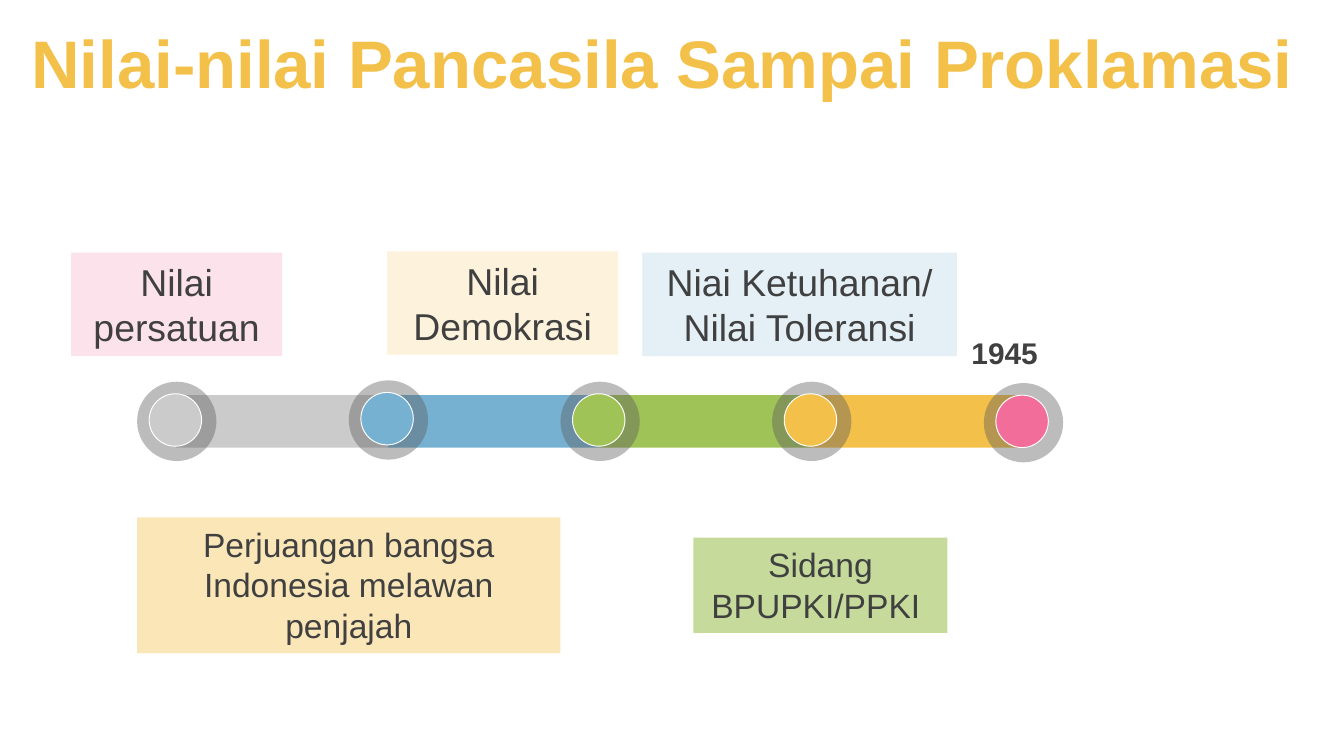
from dataclasses import dataclass

from lxml import etree
from pptx import Presentation
from pptx import util as u
from pptx.dml.color import RGBColor
from pptx.enum import shapes, text
from pptx.oxml.ns import qn

FONT = "Arial"
GOLD = "F3C04A"
DARK = "404040"
WHITE = "FFFFFF"
RING_GRAY = "595959"
RING_SIZE = 0.59
DOT_SIZE = 0.39
DOT_INSET = 0.09
STEP = 6.3 / 4
FIRST_CENTER = 1.31
FIRST_RING = 1.02
BAR_TOP = 2.94


@dataclass
class Milestone:
    color: str
    top: float


@dataclass
class Label:
    wording: str
    left: float
    top: float
    width: float
    height: float
    fill: str
    size: int


MILESTONES = [
    Milestone("CBCBCB", 2.84),
    Milestone("76B1D1", 2.83),
    Milestone("A0C358", 2.84),
    Milestone(GOLD, 2.84),
    Milestone("F26D9A", 2.85),
]

LABELS = [
    Label("Nilai persatuan", 0.53, 1.88, 1.57, 0.77, "FCE2EB", 20),
    Label("Nilai Demokrasi", 2.88, 1.87, 1.72, 0.77, "FDF2DB", 20),
    Label("Niai Ketuhanan/ Nilai Toleransi", 4.78, 1.88, 2.34, 0.77, "E4EFF6", 20),
    Label("Sidang BPUPKI/PPKI ", 5.16, 4, 1.89, 0.71, "C6DB9B", 18),
    Label("Perjuangan bangsa Indonesia melawan penjajah",
          1.02, 3.85, 3.15, 1.01, "FAE6B7", 18),
]


def paint(color_format, color: str) -> None:
    color_format.rgb = RGBColor.from_string(color)


def add_block(page, kind, left: float, top: float, width: float, height: float,
              fill: str, line: str | None = None, opacity: int = 100):
    block = page.shapes.add_shape(
        kind, u.Inches(left), u.Inches(top), u.Inches(width), u.Inches(height))
    block.shadow.inherit = False
    block.fill.solid()
    paint(block.fill.fore_color, fill)
    if line:
        block.line.fill.solid()
        paint(block.line.color, line)
        block.line.width = u.Pt(0.5)
    else:
        block.line.fill.background()
    if opacity < 100:
        color = block._element.spPr.find(qn("a:solidFill"))[0]
        etree.SubElement(color, qn("a:alpha"), val=str(opacity * 1000))
    return block


def write(box, wording: str, *, size: int, color: str = DARK, bold: bool = False,
          anchor=text.MSO_ANCHOR.TOP) -> None:
    frame = box.text_frame
    frame.word_wrap = True
    frame.vertical_anchor = anchor
    para = frame.paragraphs[0]
    para.alignment = text.PP_ALIGN.CENTER
    span = para.add_run()
    span.text = wording
    span.font.name = FONT
    span.font.size = u.Pt(size)
    span.font.bold = bold
    paint(span.font.color, color)


def add_text(page, wording: str, left: float, top: float, width: float,
             height: float, **style) -> None:
    box = page.shapes.add_textbox(
        u.Inches(left), u.Inches(top), u.Inches(width), u.Inches(height))
    write(box, wording, **style)


def add_bar(page, index: int, color: str) -> None:
    add_block(page, shapes.MSO_SHAPE.RECTANGLE, FIRST_CENTER + index * STEP,
              BAR_TOP, STEP, DOT_SIZE, color)


def add_milestone(page, index: int, milestone: Milestone) -> None:
    left = FIRST_RING + index * STEP
    oval = shapes.MSO_SHAPE.OVAL
    add_block(page, oval, left, milestone.top, RING_SIZE, RING_SIZE,
              RING_GRAY, opacity=40)
    add_block(page, oval, left + DOT_INSET, milestone.top + DOT_INSET,
              DOT_SIZE, DOT_SIZE, milestone.color, line=WHITE)


def add_label(page, label: Label) -> None:
    box = add_block(page, shapes.MSO_SHAPE.RECTANGLE, label.left, label.top,
                    label.width, label.height, label.fill)
    write(box, label.wording, size=label.size)


def main() -> None:
    deck = Presentation()
    deck.slide_width = u.Inches(10)
    deck.slide_height = u.Inches(10 * 9 / 16)
    page = deck.slides.add_slide(deck.slide_layouts[6])

    add_text(page, "Nilai-nilai Pancasila Sampai Proklamasi ", 0, 0.03, 10, 0.85,
             size=36, color=GOLD, bold=True, anchor=text.MSO_ANCHOR.MIDDLE)
    for index, milestone in enumerate(MILESTONES[:-1]):
        add_bar(page, index, milestone.color)
    for index, milestone in enumerate(MILESTONES):
        add_milestone(page, index, milestone)
    add_text(page, "1945", 7.11, 2.44, 0.73, 0.37, size=16, bold=True)
    for label in LABELS:
        add_label(page, label)

    deck.save("out.pptx")


if __name__ == "__main__":
    main()
